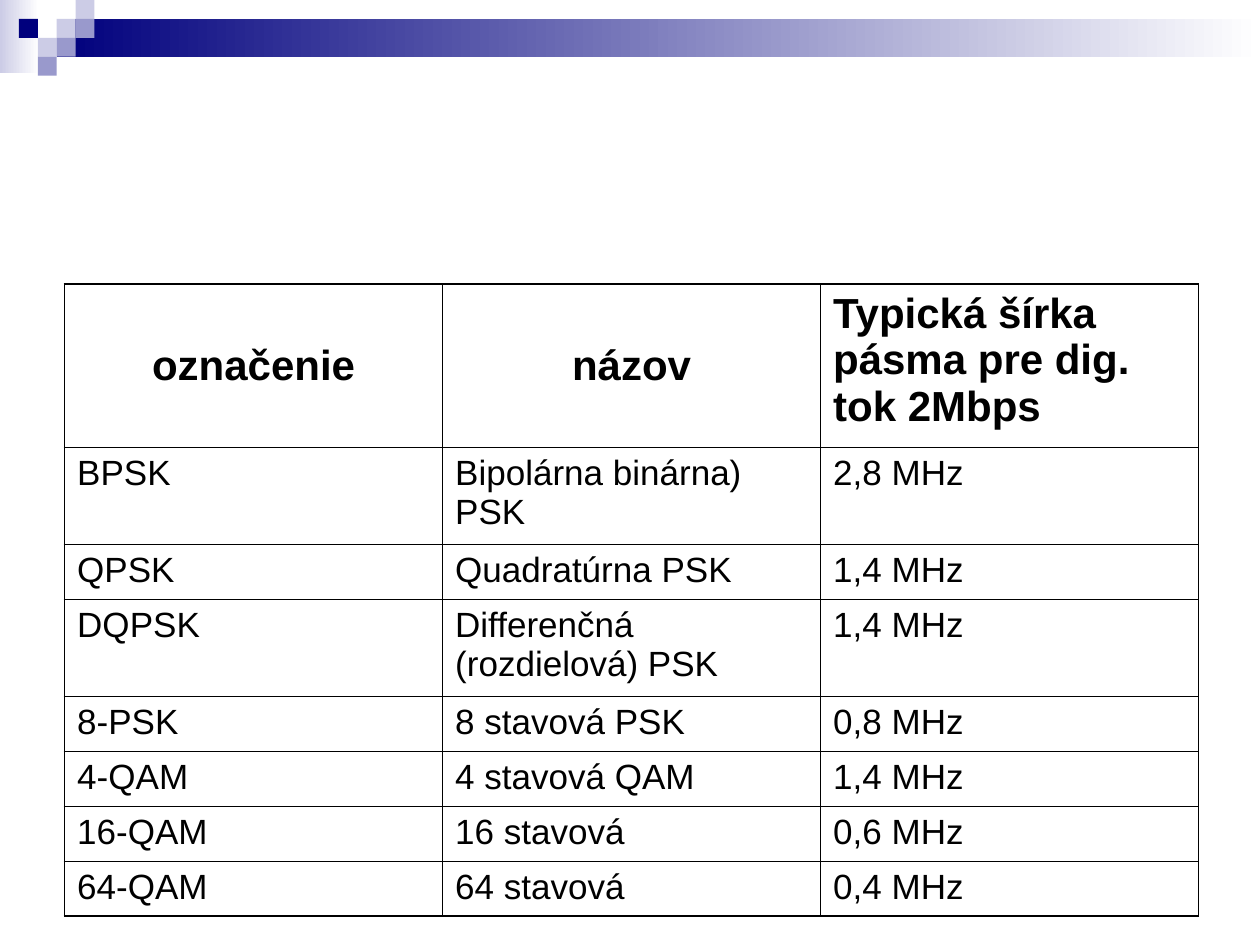
from typing import NamedTuple

from pptx import Presentation
from pptx.dml.color import RGBColor
from pptx.enum.shapes import MSO_SHAPE
from pptx.enum.text import MSO_ANCHOR, PP_ALIGN
from pptx.oxml import parse_xml
from pptx.oxml.ns import nsdecls
from pptx.util import Pt

NAVY = RGBColor(0x00, 0x00, 0x7D)
BLUE = RGBColor(0x99, 0x99, 0xCC)
PALE = RGBColor(0xCC, 0xCC, 0xE6)
WHITE = RGBColor(0xFF, 0xFF, 0xFF)
BLACK = RGBColor(0x00, 0x00, 0x00)

STEP = 10.8
THIN = 0.45
THICK = 1.08


class Band(NamedTuple):
    """A bar that fades to white, in points."""
    left: float
    top: float
    width: float
    height: float
    color: RGBColor


class Tile(NamedTuple):
    """A square on the corner grid."""
    col: int
    row: int
    color: RGBColor


class Row(NamedTuple):
    """A table row with its height in points."""
    height: float
    texts: tuple[str, str, str]


BANDS = [
    Band(0, 0, 22.3, 41.8, PALE),
    Band(3 * STEP, STEP, 720 - 3 * STEP, 2 * STEP, NAVY),
]
TILES = [
    Tile(3, 1, PALE),
    Tile(4, 0, PALE),
    Tile(4, 1, BLUE),
    Tile(2, 2, PALE),
    Tile(1, 1, NAVY),
    Tile(3, 2, BLUE),
    Tile(2, 3, BLUE),
]
ROWS = [
    Row(93.7, ("označenie", "názov", "Typická šírka pásma pre dig. tok 2Mbps")),
    Row(55.4, ("BPSK", "Bipolárna binárna) PSK", "2,8 MHz")),
    Row(31.4, ("QPSK", "Quadratúrna PSK", "1,4 MHz")),
    Row(55.4, ("DQPSK", "Differenčná (rozdielová) PSK", "1,4 MHz")),
    Row(31.4, ("8-PSK", "8 stavová PSK", "0,8 MHz")),
    Row(31.4, ("4-QAM", "4 stavová QAM", "1,4 MHz")),
    Row(31.4, ("16-QAM", "16 stavová", "0,6 MHz")),
    Row(31.4, ("64-QAM", "64 stavová", "0,4 MHz")),
]


def add_rect(slide, left: float, top: float, width: float, height: float):
    """Add a plain rectangle without line or shadow."""
    rect = slide.shapes.add_shape(
        MSO_SHAPE.RECTANGLE, Pt(left), Pt(top), Pt(width), Pt(height))
    rect.shadow.inherit = False
    rect.line.fill.background()
    return rect


def draw_band(slide, band: Band) -> None:
    """Draw a bar that fades to white from left to right."""
    fill = add_rect(slide, *band[:4]).fill
    fill.gradient()
    fill.gradient_angle = 0
    for stop, color in zip(fill.gradient_stops, (band.color, WHITE)):
        stop.color.rgb = color


def draw_tile(slide, tile: Tile) -> None:
    """Draw one solid square on the grid."""
    fill = add_rect(slide, tile.col * STEP, tile.row * STEP, STEP, STEP).fill
    fill.solid()
    fill.fore_color.rgb = tile.color


def set_edges(cell, edges: dict[str, bool]) -> None:
    """Draw the cell borders, thick where the edge is an outer one."""
    props = cell._tc.get_or_add_tcPr()
    for spot, (side, outer) in enumerate(edges.items()):
        width = Pt(THICK if outer else THIN)
        props.insert(spot, parse_xml(
            f'<a:ln{side} {nsdecls("a")} w="{width}"><a:solidFill>'
            f'<a:srgbClr val="{BLACK}"/></a:solidFill></a:ln{side}>'))


def fill_cell(cell, text: str, head: bool, mid: bool) -> None:
    """Write and format the text of one cell."""
    cell.fill.background()
    cell.vertical_anchor = MSO_ANCHOR.MIDDLE if mid else MSO_ANCHOR.TOP
    cell.text_frame.text = text
    para = cell.text_frame.paragraphs[0]
    para.alignment = PP_ALIGN.CENTER if mid else PP_ALIGN.LEFT
    font = para.runs[0].font
    font.name = "Arial"
    font.size = Pt(24 if head else 20)
    font.bold = head
    font.color.rgb = BLACK


def draw_table(slide, rows: list[Row]) -> None:
    """Draw the table of phase and amplitude keying."""
    count = len(rows[0].texts)
    table = slide.shapes.add_table(
        len(rows), count, Pt(36.9), Pt(162.2), Pt(216 * count),
        Pt(sum(row.height for row in rows))).table
    table.first_row = table.horz_banding = False
    for y, row in enumerate(rows):
        table.rows[y].height = Pt(row.height)
        for x, text in enumerate(row.texts):
            cell = table.cell(y, x)
            fill_cell(cell, text, y == 0, y == 0 and x < count - 1)
            set_edges(cell, {"L": x == 0, "R": x == count - 1,
                             "T": y == 0, "B": y == len(rows) - 1})


def main() -> None:
    """Build the slide and save it."""
    deck = Presentation()
    deck.slide_width, deck.slide_height = Pt(720), Pt(540)
    slide = deck.slides.add_slide(deck.slide_layouts[6])
    for band in BANDS:
        draw_band(slide, band)
    for tile in TILES:
        draw_tile(slide, tile)
    draw_table(slide, ROWS)
    deck.save("out.pptx")


if __name__ == "__main__":
    main()
